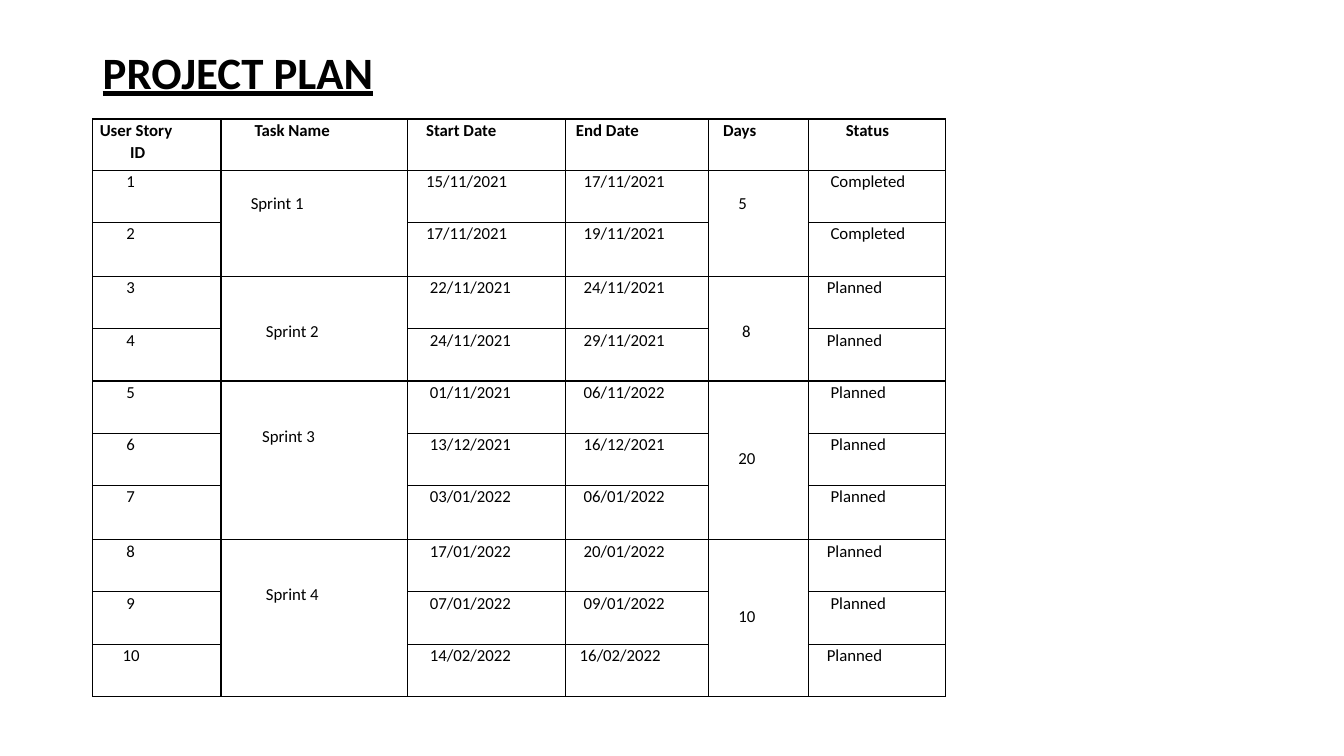
from dataclasses import dataclass

from lxml import etree
from pptx import Presentation
from pptx.dml.color import RGBColor
from pptx.enum.text import MSO_ANCHOR
from pptx.oxml.ns import qn
from pptx.util import Inches, Pt

MIDDLE = MSO_ANCHOR.MIDDLE
TOP = MSO_ANCHOR.TOP


@dataclass(frozen=True)
class Theme:
    font: str = "Calibri"
    ink: str = "000000"
    title_size: int = 32
    table_size: int = 12
    border: int = 1
    line_spacing: float = 1.07
    indent_step: float = 2.71
    line_height: float = 15.7


THEME = Theme()

LEFT, TABLE_TOP = 0.92, 1.18
TABLE_WIDTH, TABLE_HEIGHT = 8.46, 5.73
COLUMN_SHARES = [1.27, 1.85, 1.56, 1.42, 0.99, 1.36]
ROW_SHARES = [0.51, 0.52, 0.54] + [0.52] * 4 + [0.54] + [0.52] * 3
ID_COLUMN, TASK_COLUMN, START_COLUMN, END_COLUMN, DAYS_COLUMN, STATUS_COLUMN = range(6)

HEADINGS = [
    [("User Story", 0), ("ID", 8)],
    [("Task Name", 7)],
    [("Start Date", 3)],
    [("End Date", 1)],
    [("Days", 2)],
    [("Status", 8)],
]

# Each text carries its indent in steps; sprint texts also carry the lines above them.
SPRINTS = [
    (("Sprint 1", 6, 1), ("5", 6, 1), [
        (("1", 7), ("15/11/2021", 3), ("17/11/2021", 3), ("Completed", 4)),
        (("2", 7), ("17/11/2021", 3), ("19/11/2021", 3), ("Completed", 4)),
    ]),
    (("Sprint 2", 10, 2), ("8", 7, 2), [
        (("3", 7), ("22/11/2021", 4), ("24/11/2021", 3), ("Planned", 3)),
        (("4", 7), ("24/11/2021", 4), ("29/11/2021", 3), ("Planned", 3)),
    ]),
    (("Sprint 3", 9, 2), ("20", 6, 3), [
        (("5", 7), ("01/11/2021", 4), ("06/11/2022", 3), ("Planned", 4)),
        (("6", 7), ("13/12/2021", 4), ("16/12/2021", 3), ("Planned", 4)),
        (("7", 7), ("03/01/2022", 4), ("06/01/2022", 3), ("Planned", 4)),
    ]),
    (("Sprint 4", 10, 2), ("10", 6, 3), [
        (("8", 7), ("17/01/2022", 4), ("20/01/2022", 3), ("Planned", 3)),
        (("9", 7), ("07/01/2022", 4), ("09/01/2022", 3), ("Planned", 4)),
        (("10", 6), ("14/02/2022", 4), ("16/02/2022", 2), ("Planned", 3)),
    ]),
]


def style_font(font, size, bold=False, underline=False):
    font.name = THEME.font
    font.size = Pt(size)
    font.bold = bold
    font.underline = underline
    font.color.rgb = RGBColor.from_string(THEME.ink)


def add_title(page, text):
    box = page.shapes.add_textbox(Inches(LEFT), Inches(0.4), Inches(3.48), Inches(0.68))
    frame = box.text_frame
    frame.word_wrap = True
    frame.vertical_anchor = MIDDLE
    para = frame.paragraphs[0]
    para.text = text
    para.line_spacing = 0.9
    style_font(para.font, THEME.title_size, bold=True, underline=True)


def set_borders(cell):
    properties = cell._tc.get_or_add_tcPr()
    for position, side in enumerate(("lnL", "lnR", "lnT", "lnB")):
        line = etree.Element(qn(f"a:{side}"), w=str(Pt(THEME.border)))
        fill = etree.SubElement(line, qn("a:solidFill"))
        etree.SubElement(fill, qn("a:srgbClr"), val=THEME.ink)
        properties.insert(position, line)


def write_cell(cell, lines, bold=False, lines_above=0):
    cell.margin_top = Pt(lines_above * THEME.line_height)
    frame = cell.text_frame
    for index, (text, indent) in enumerate(lines):
        para = frame.add_paragraph() if index else frame.paragraphs[0]
        para.text = text
        para.line_spacing = THEME.line_spacing
        para._p.get_or_add_pPr().set("marL", str(Pt(indent * THEME.indent_step)))
        style_font(para.font, THEME.table_size, bold)


def add_plan_table(page):
    table = page.shapes.add_table(
        len(ROW_SHARES), len(COLUMN_SHARES), Inches(LEFT), Inches(TABLE_TOP),
        Inches(TABLE_WIDTH), Inches(TABLE_HEIGHT)).table
    table.first_row = False
    table.horz_banding = False
    for column, share in zip(table.columns, COLUMN_SHARES):
        column.width = Inches(TABLE_WIDTH * share / sum(COLUMN_SHARES))
    for row, share in zip(table.rows, ROW_SHARES):
        row.height = Inches(TABLE_HEIGHT * share / sum(ROW_SHARES))
    for cell in table.iter_cells():
        cell.margin_left = cell.margin_right = Inches(0.07)
        cell.margin_top = cell.margin_bottom = 0
        cell.vertical_anchor = TOP
        cell.fill.background()
        set_borders(cell)
    return table


def add_sprint(table, first_row, task, days, stories):
    last_row = first_row + len(stories) - 1
    for column, (text, indent, lines_above) in ((TASK_COLUMN, task), (DAYS_COLUMN, days)):
        cell = table.cell(first_row, column)
        cell.merge(table.cell(last_row, column))
        write_cell(cell, [(text, indent)], lines_above=lines_above)
    story_columns = (ID_COLUMN, START_COLUMN, END_COLUMN, STATUS_COLUMN)
    for row, story in enumerate(stories, first_row):
        for column, line in zip(story_columns, story):
            write_cell(table.cell(row, column), [line])


def main():
    deck = Presentation()
    deck.slide_width, deck.slide_height = Inches(13.33), Inches(7.5)
    page = deck.slides.add_slide(deck.slide_layouts[6])
    add_title(page, "PROJECT PLAN")
    table = add_plan_table(page)
    for column, lines in enumerate(HEADINGS):
        write_cell(table.cell(0, column), lines, bold=True)
    first_row = 1
    for task, days, stories in SPRINTS:
        add_sprint(table, first_row, task, days, stories)
        first_row += len(stories)
    deck.save("out.pptx")


if __name__ == "__main__":
    main()
